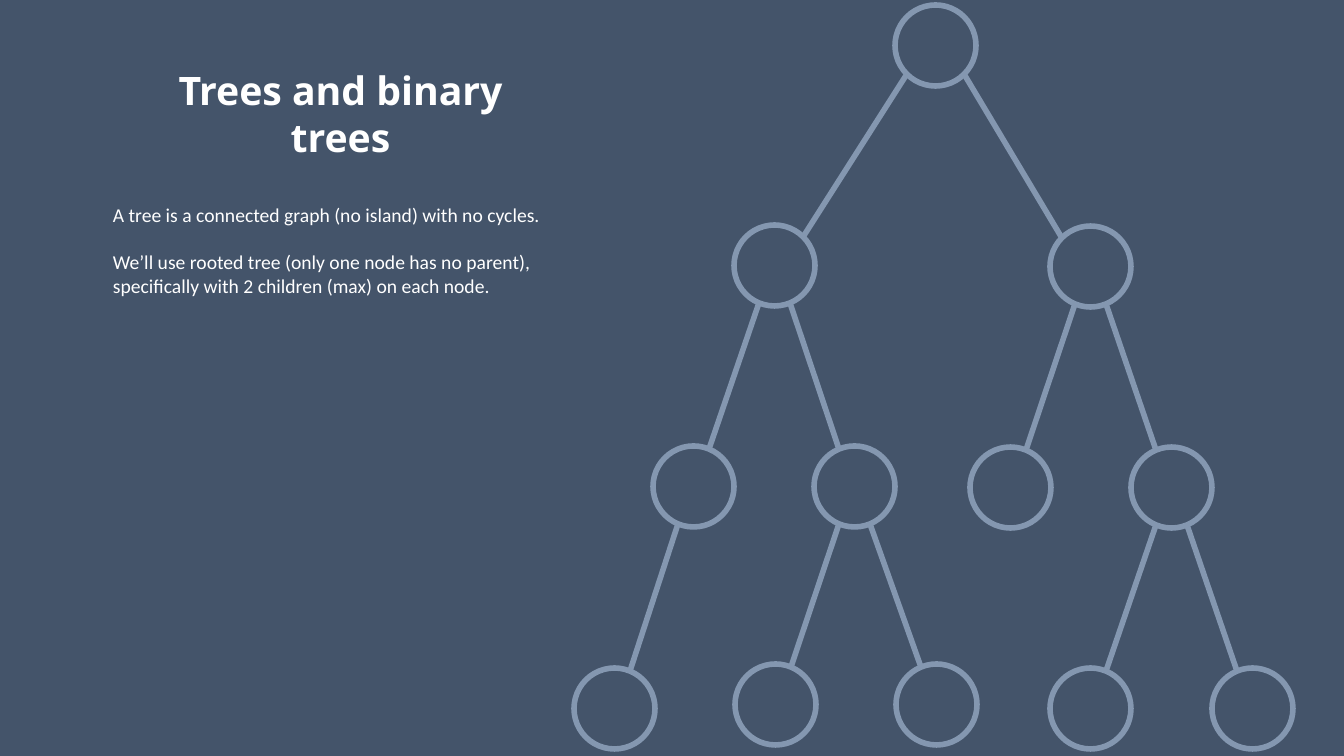
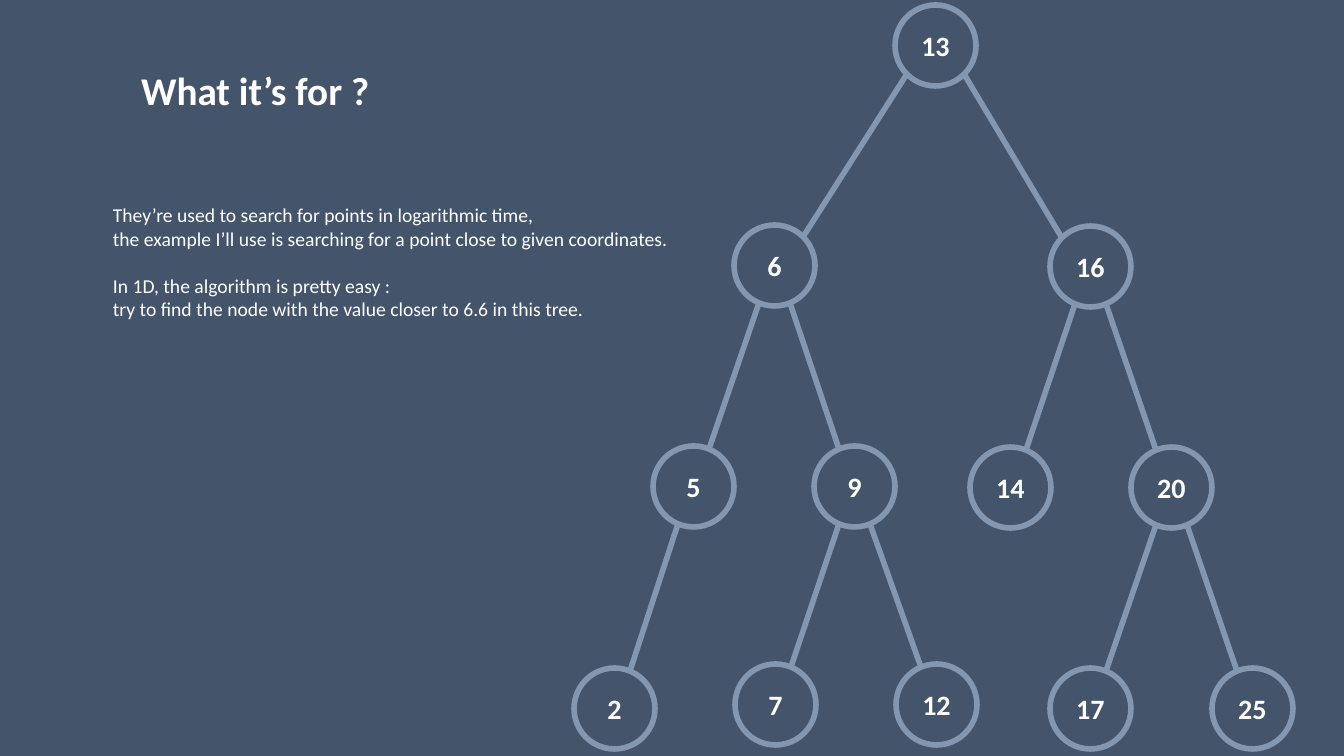
"""Build two slides that introduce binary trees beside a drawn tree."""
import math

import pptx
import pptx.dml.color
import pptx.enum.shapes
import pptx.enum.text
import pptx.oxml
import pptx.oxml.ns
import pptx.util

SLIDES = [
    {
        "title": "Trees and binary trees",
        "title_font": "Open Sans",
        "title_width": 419,
        "title_align": pptx.enum.text.PP_ALIGN.CENTER,
        "body_size": (452, 105),
        "body": [
            ["A tree is a connected graph (no island) with no cycles."],
            ["We’ll use rooted tree (only one node has no parent),",
             "specifically with 2 children (max) on each node."],
        ],
        "numbered": False,
    },
    {
        "title": "What it’s for ?",
        "title_font": "Calibri",
        "title_width": 251,
        "title_align": pptx.enum.text.PP_ALIGN.LEFT,
        "body_size": (581, 129),
        "body": [
            ["They’re used to search for points in logarithmic time,",
             "the example I’ll use is searching for a point close to given coordinates."],
            ["In 1D, the algorithm is pretty easy :",
             "try to find the node with the value closer to 6.6 in this tree."],
        ],
        "numbered": True,
    },
]

NODES = {
    13: (895, 5), 6: (734, 225), 16: (1050, 226),
    5: (653, 446), 9: (814, 446), 14: (970, 447), 20: (1131, 447),
    2: (574, 668), 7: (735, 664), 12: (896, 664), 17: (1050, 668), 25: (1212, 668),
}
CHILDREN = {13: (6, 16), 6: (5, 9), 16: (14, 20), 5: (2,), 9: (7, 12), 20: (17, 25)}
ROOT = 13
DIAMETER = 81
ROOT_ANGLE, BRANCH_ANGLE = 45, 22.5

BACKGROUND = pptx.dml.color.RGBColor(0x44, 0x54, 0x6A)
OUTLINE = pptx.dml.color.RGBColor(0x84, 0x97, 0xB0)
WHITE = pptx.dml.color.RGBColor(0xFF, 0xFF, 0xFF)
TEXT_FONT = "Calibri"
LINE_WIDTH = pptx.util.Pt(4)
EMU_PER_PIXEL = 914400 / 100.8


def emu(*pixels):
    return [pptx.util.Emu(round(pixel * EMU_PER_PIXEL)) for pixel in pixels]


def style_paragraph(paragraph, size, align, font=TEXT_FONT, bold=False):
    paragraph.alignment = align
    for run in paragraph.runs:
        run.font.name = font
        run.font.size = pptx.util.Pt(size)
        run.font.bold = bold
        run.font.color.rgb = WHITE


def add_title(slide, content):
    title = slide.shapes.title
    title.left, title.top, title.width, title.height = emu(131, 61, content["title_width"], 57)
    frame = title.text_frame
    frame.text = content["title"]
    frame.word_wrap = True
    frame.auto_size = pptx.enum.text.MSO_AUTO_SIZE.NONE
    frame.vertical_anchor = pptx.enum.text.MSO_ANCHOR.TOP
    style_paragraph(frame.paragraphs[0], 28, content["title_align"], content["title_font"], True)


def add_body(slide, blocks, size):
    frame = slide.shapes.add_textbox(*emu(103, 198, *size)).text_frame
    frame.word_wrap = False
    lines = [(line, block > 0 and row == 0)
             for block, rows in enumerate(blocks) for row, line in enumerate(rows)]
    for number, (line, starts_block) in enumerate(lines):
        paragraph = frame.add_paragraph() if number else frame.paragraphs[0]
        paragraph.text = line
        if starts_block:
            paragraph.space_before = pptx.util.Pt(17)
        style_paragraph(paragraph, 14, pptx.enum.text.PP_ALIGN.LEFT)


def style_outline(line):
    line.color.rgb = OUTLINE
    line.width = LINE_WIDTH


def add_node(slide, value, numbered):
    node = slide.shapes.add_shape(
        pptx.enum.shapes.MSO_SHAPE.OVAL, *emu(*NODES[value], DIAMETER, DIAMETER))
    node.shadow.inherit = False
    node.fill.background()
    style_outline(node.line)
    if numbered:
        frame = node.text_frame
        frame.text = str(value)
        frame.vertical_anchor = pptx.enum.text.MSO_ANCHOR.MIDDLE
        style_paragraph(frame.paragraphs[0], 20, pptx.enum.text.PP_ALIGN.CENTER, bold=True)


def add_branch(slide, parent, child):
    radius = DIAMETER / 2
    parent_x, parent_y, child_x, child_y = (
        corner + radius for corner in NODES[parent] + NODES[child])
    angle = math.radians(ROOT_ANGLE if parent == ROOT else BRANCH_ANGLE)
    across = math.copysign(radius * math.sin(angle), child_x - parent_x)
    down = radius * math.cos(angle)
    branch = slide.shapes.add_connector(
        pptx.enum.shapes.MSO_CONNECTOR.STRAIGHT,
        *emu(parent_x + across, parent_y + down, child_x - across, child_y - down))
    style_outline(branch.line)
    properties = branch._element.spPr
    properties.append(pptx.oxml.parse_xml(
        "<a:effectLst %s/>" % pptx.oxml.ns.nsdecls("a")))


def add_tree(slide, numbered):
    for value in NODES:
        add_node(slide, value, numbered)
    for parent, children in CHILDREN.items():
        for child in children:
            add_branch(slide, parent, child)


presentation = pptx.Presentation()
presentation.slide_width, presentation.slide_height = emu(1344, 756)
master_fill = presentation.slide_master.background.fill
master_fill.solid()
master_fill.fore_color.rgb = BACKGROUND
title_only = presentation.slide_layouts[5]

for content in SLIDES:
    slide = presentation.slides.add_slide(title_only)
    add_title(slide, content)
    add_tree(slide, content["numbered"])
    add_body(slide, content["body"], content["body_size"])

presentation.save("out.pptx")
